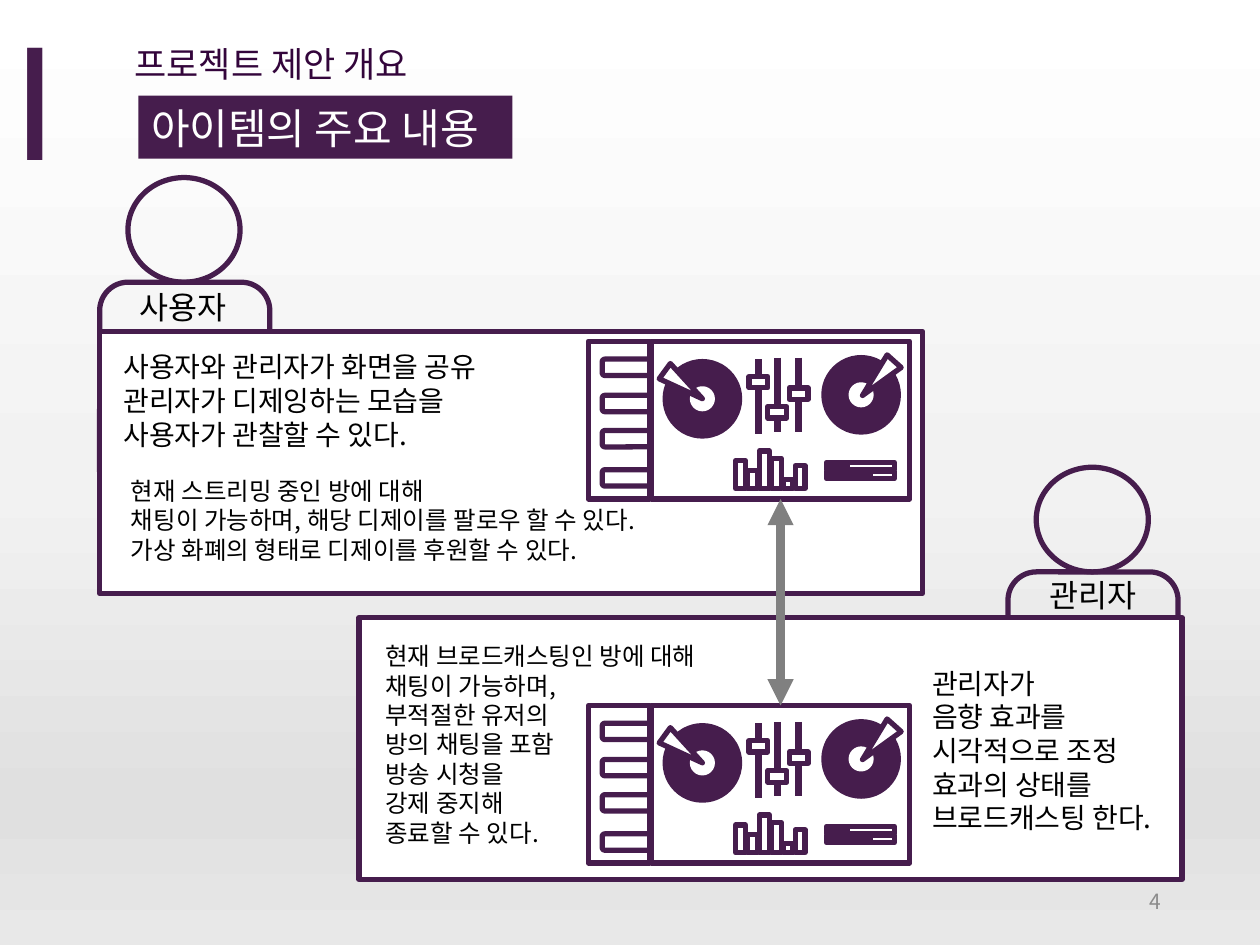
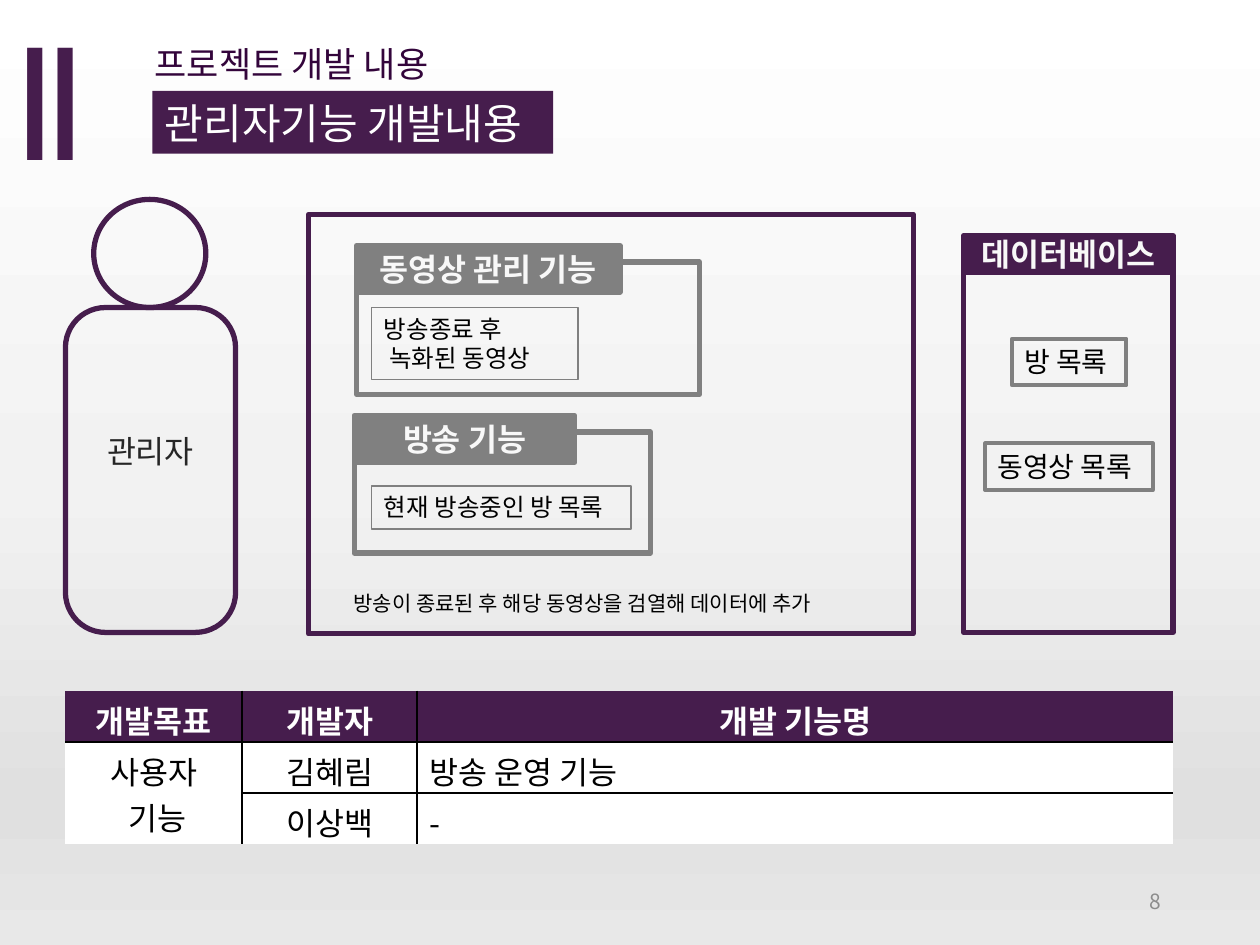
import pptx
import pptx.util
import pptx.dml.color
import pptx.enum.shapes
import pptx.enum.text
import pptx.oxml
from pptx.oxml.ns import qn
from lxml import etree

# Shared look
PURPLE, HEADING, GRAY, WHITE, BLACK = "461D4D", "33053B", "808080", "FFFFFF", "000000"
PALE, DARK, NUMBER = "F8F8F8", "262626", "8C8C8C"
FONT, NUMERAL_FONT = "Noto Sans CJK KR", "Arial Narrow"
BACKGROUND = [(0, WHITE), (51, "F2F2F2"), (85, "E0E0E0"), (100, "E8E8E8")]
NO_STYLE = "{2D5ABB26-0587-4C30-8999-92F81FD0307C}"
Cm, Pt = pptx.util.Cm, pptx.util.Pt
KIND = pptx.enum.shapes.MSO_SHAPE
ALIGN = pptx.enum.text.PP_ALIGN
ANCHOR = pptx.enum.text.MSO_ANCHOR

# Content: headers as (numeral, section, section left, title, title box, page)
OVERVIEW = ("Ⅰ", "프로젝트 제안 개요", 2.46, "아이템의 주요 내용", (2.79, 1.93, 7.54, 1.27), "4")
DEVELOPMENT = ("Ⅱ", "프로젝트 개발 내용", 2.87, "관리자기능 개발내용", (3.07, 1.83, 8.08, 1.27), "8")

# Overview: people as (label, body left, body top, label box), panels, notes
PEOPLE = [("사용자", 2.01, 5.69, (2.57, 5.69, 2.34, 1.02)),
          ("관리자", 20.32, 11.53, (20.9, 11.48, 2.34, 1.02))]
PANELS = [(2.01, 6.68, 16.59, 5.28), (7.24, 12.45, 16.59, 5.28)]
NOTES = [
    ((2.24, 6.93, 8.05, 2.31), 16,
     ["사용자와 관리자가 화면을 공유", "관리자가 디제잉하는 모습을", "사용자가 관찰할 수 있다."]),
    ((2.39, 9.47, 11.53, 2.06), 14,
     ["현재 스트리밍 중인 방에 대해", "채팅이 가능하며, 해당 디제이를 팔로우 할 수 있다.",
      "가상 화폐의 형태로 디제이를 후원할 수 있다."]),
    ((7.52, 12.8, 7.11, 4.45), 14,
     ["현재 브로드캐스팅인 방에 대해", "채팅이 가능하며,", "부적절한 유저의", "방의 채팅을 포함",
      "방송 시청을", "강제 중지해", "종료할 수 있다."]),
    ((18.54, 13.31, 5.36, 4.37), 16,
     ["관리자가", "음향 효과를", "시각적으로 조정", "효과의 상태를", "브로드캐스팅 한다."]),
]

# DJ console, measured from its top left corner
CONSOLE_LEFT, CONSOLE_TOPS = 11.86, (6.88, 14.22)
PAD_TOPS = (0.36, 1.09, 1.8, 2.59)
DECKS = [(1.55, 0.41, (1.73, 0.41), 126.2, 0.5), (4.75, 0.33, (5.66, 0.28), 222, 0.53)]
FADERS = [(3.43, 0.36, 0.71), (3.81, 0.33, 1.32), (4.24, 0.33, 0.94)]
BAR_HEIGHTS = (0.56, 0.36, 0.76, 0.61, 0.18, 0.46)
STRIPS = [(4.8, 2.44, 1.37, 0.15), (4.8, 2.62, 1.37, 0.15),
          (4.9, 2.49, 0.33, 0.13), (4.83, 2.59, 0.86, 0.13)]

# Development: frames as (heading, frame box, heading box, colour)
FRAMES = [
    ("동영상 관리 기능", (7.19, 5.28, 6.91, 2.67), (7.19, 4.95, 5.31, 0.94), GRAY),
    ("방송 기능", (7.14, 8.71, 5.97, 2.44), (7.14, 8.38, 4.45, 0.94), GRAY),
    ("데이터베이스", (19.43, 5.49, 4.22, 7.26), (19.43, 4.75, 4.22, 0.74), PURPLE),
]
# Boxes as (lines, box, size, line width)
BOXES = [
    (["방 목록"], (20.4, 6.83, 2.31, 0.94), 16, 2.25),
    (["동영상 목록"], (19.86, 8.94, 3.38, 0.94), 16, 2.25),
    (["방송종료 후", " 녹화된 동영상"], (7.49, 6.2, 4.17, 1.45), 14, 1),
    (["현재 방송중인 방 목록"], (7.49, 9.8, 5.23, 0.86), 14, 1),
]
TABLE_BOX, COLUMNS = (1.32, 13.92, 22.33, 3.1), (3.56, 3.53, 15.24)
ROWS = [["개발목표", "개발자", "개발 기능명"],
        ["사용자\n 기능", "김혜림", "방송 운영 기능"],
        ["", "이상백", "-"]]


def rgb(value):
    return pptx.dml.color.RGBColor.from_string(value)


def place(box):
    return [Cm(v) for v in box]


def write(tf, text, size=18, color=BLACK, bold=False, align=ALIGN.LEFT,
          anchor=ANCHOR.TOP, font=FONT):
    """Fill a text frame, one paragraph for each line of text."""
    tf.word_wrap = True
    tf.vertical_anchor = anchor
    for i, line in enumerate(text.split("\n")):
        p = tf.paragraphs[0] if i == 0 else tf.add_paragraph()
        p.alignment = align
        r = p.add_run()
        r.text = line
        r.font.size, r.font.bold, r.font.name = Pt(size), bold, font
        r.font.color.rgb = rgb(color)
        etree.SubElement(r.font._element, qn("a:ea"), typeface=font)


def text_box(s, box, text, **fmt):
    write(s.shapes.add_textbox(*place(box)).text_frame, text, **fmt)


def shape(shapes, kind, box, fill=None, line=PURPLE, width=3, rotation=0, adj=None):
    sp = shapes.add_shape(kind, *place(box))
    sp.shadow.inherit = False
    if fill:
        sp.fill.solid()
        sp.fill.fore_color.rgb = rgb(fill)
    else:
        sp.fill.background()
    sp.line.color.rgb = rgb(line)
    sp.line.width = Pt(width)
    sp.rotation = rotation
    if adj:
        sp.adjustments[0] = adj
    return sp


def connector(shapes, x1, y1, x2, y2, color, width):
    cx = shapes.add_connector(pptx.enum.shapes.MSO_CONNECTOR.STRAIGHT, *place((x1, y1, x2, y2)))
    cx.line.color.rgb = rgb(color)
    cx.line.width = Pt(width)
    etree.SubElement(cx._element.spPr, qn("a:effectLst"))
    return cx


def set_background(master):
    fill = master.background.fill
    fill.gradient()
    fill.gradient_angle = 270
    stops = master.element.find(".//" + qn("p:bgPr")).find(".//" + qn("a:gsLst"))
    for gs in list(stops):
        stops.remove(gs)
    for pos, color in BACKGROUND:
        gs = etree.SubElement(stops, qn("a:gs"), pos=str(pos * 1000))
        etree.SubElement(gs, qn("a:srgbClr"), val=color)


def add_slide(prs, numeral, section, section_left, title, title_box, page):
    s = prs.slides.add_slide(prs.slide_layouts[5])
    text_box(s, (0, 0, 3.48, 4.01), numeral, size=88, color=PURPLE, font=NUMERAL_FONT)
    text_box(s, (section_left, 0.74, 6.38, 1.12), section, size=20, color=HEADING)
    text_box(s, (17.93, 17.65, 5.72, 1.02), page, size=12, color=NUMBER,
             align=ALIGN.RIGHT, anchor=ANCHOR.MIDDLE)
    banner = s.shapes.title
    banner.left, banner.top, banner.width, banner.height = place(title_box)
    banner.fill.solid()
    banner.fill.fore_color.rgb = rgb(PURPLE)
    banner.text_frame.auto_size = pptx.enum.text.MSO_AUTO_SIZE.NONE
    write(banner.text_frame, title, size=24, color=WHITE)
    return s


def person(s, left, top, body_height, head_height, adj=None):
    g = s.shapes.add_group_shape().shapes
    shape(g, KIND.OVAL, (left + 0.57, top - head_height, 2.26, head_height))
    return shape(g, KIND.ROUNDED_RECTANGLE, (left, top, 3.43, body_height), adj=adj)


def console(s, left, top):
    """Draw a DJ console and return its mixer frame."""
    g = s.shapes.add_group_shape().shapes

    def part(kind, x, y, w, h, **fmt):
        return shape(g, kind, (left + x, top + y, w, h), **fmt)

    mixer = part(KIND.RECTANGLE, 1.27, 0, 5.21, 3.18)
    part(KIND.RECTANGLE, 0, 0, 1.24, 3.18)
    for y in PAD_TOPS:
        part(KIND.ROUNDED_RECTANGLE, 0.28, y, 0.97, 0.33)
    # Turntables with their arms
    for x, y, arm, rotation, adj in DECKS:
        part(KIND.OVAL, x, y, 1.5, 1.5, fill=PURPLE)
        part(KIND.OVAL, x + 0.55, y + 0.55, 0.4, 0.4, fill=WHITE, line=WHITE)
        part(KIND.ISOSCELES_TRIANGLE, *arm, 0.38, 0.94, fill=WHITE, rotation=rotation, adj=adj)
    # Faders, equalizer bars and strips
    for x, y, knob in FADERS:
        connector(g, left + x, top + y, left + x, top + y + 1.5, PURPLE, 4)
        part(KIND.RECTANGLE, x - 0.19, knob, 0.38, 0.23, fill=WHITE)
    for i, h in enumerate(BAR_HEIGHTS):
        part(KIND.RECTANGLE, 2.97 + 0.24 * i, 2.97 - h, 0.2, h)
    for strip in STRIPS:
        part(KIND.RECTANGLE, *strip)
    return mixer


def overview(prs):
    s = add_slide(prs, *OVERVIEW)
    for _, left, top, _ in PEOPLE:
        person(s, left, top, 4.39, 2.11)
    for panel in PANELS:
        shape(s.shapes, KIND.RECTANGLE, panel, fill=WHITE)
    for label, _, _, box in PEOPLE:
        text_box(s, box, label)
    upper, lower = [console(s, CONSOLE_LEFT, top) for top in CONSOLE_TOPS]
    # Two-way arrow between the consoles
    arrow = connector(s.shapes, 15.74, 10.06, 15.74, 14.22, GRAY, 5)
    arrow.begin_connect(upper, 2)
    arrow.end_connect(lower, 0)
    ln = arrow.line._get_or_add_ln()
    for end in ("a:headEnd", "a:tailEnd"):
        etree.SubElement(ln, qn(end), type="triangle")
    for box, size, lines in NOTES:
        text_box(s, box, "\n".join(lines), size=size)


def set_borders(cell, sides):
    tcPr = cell._tc.get_or_add_tcPr()
    for i, side in enumerate(s for s in ("L", "R", "T", "B") if s in sides):
        ln = etree.Element(qn("a:ln" + side), w=str(Pt(1)))
        fill = etree.SubElement(ln, qn("a:solidFill"))
        etree.SubElement(fill, qn("a:srgbClr"), val=BLACK)
        tcPr.insert(i, ln)


def feature_table(s):
    frame = s.shapes.add_table(len(ROWS), len(COLUMNS), *place(TABLE_BOX))
    table = frame.table
    table._tbl.tblPr.find(qn("a:tableStyleId")).text = NO_STYLE
    for column, width in zip(table.columns, COLUMNS):
        column.width = Cm(width)
    table.cell(1, 0).merge(table.cell(2, 0))
    for i, row in enumerate(ROWS):
        for j, text in enumerate(row):
            cell, header = table.cell(i, j), i == 0
            cell.fill.solid()
            cell.fill.fore_color.rgb = rgb(PURPLE if header else WHITE)
            # Only inner edges are ruled
            inner = {"L": j > 0, "R": j < 2, "T": i > 0 and (i, j) != (2, 0),
                     "B": i < 2 and (i, j) != (1, 0)}
            set_borders(cell, [side for side, ruled in inner.items() if ruled])
            if text:
                left = j == 2 and not header
                write(cell.text_frame, text, color=WHITE if header else BLACK, bold=header,
                      align=ALIGN.LEFT if left else ALIGN.CENTER)


def development(prs):
    s = add_slide(prs, *DEVELOPMENT)
    feature_table(s)
    body = person(s, 1.32, 6.2, 6.55, 2.18, adj=0.235)
    write(body.text_frame, "관리자", color=DARK, align=ALIGN.CENTER, anchor=ANCHOR.MIDDLE)
    body.text_frame.margin_bottom = Cm(0.9)
    shape(s.shapes, KIND.RECTANGLE, (6.22, 4.32, 12.19, 8.46))
    for heading, frame, heading_box, color in FRAMES:
        g = s.shapes.add_group_shape().shapes
        shape(g, KIND.RECTANGLE, frame, line=color)
        sp = shape(g, KIND.RECTANGLE, heading_box, fill=color, line=color)
        write(sp.text_frame, heading, color=PALE, bold=True,
              align=ALIGN.CENTER, anchor=ANCHOR.MIDDLE)
    for lines, box, size, width in BOXES:
        sp = shape(s.shapes, KIND.RECTANGLE, box, line=GRAY, width=width)
        write(sp.text_frame, "\n".join(lines), size=size)
    text_box(s, (6.88, 11.79, 10.36, 0.76), "방송이 종료된 후 해당 동영상을 검열해 데이터에 추가", size=12)


def main():
    prs = pptx.Presentation()
    prs.slide_width, prs.slide_height = Cm(25.4), Cm(19.05)
    set_background(prs.slide_master)
    overview(prs)
    development(prs)
    prs.save("out.pptx")


if __name__ == "__main__":
    main()
